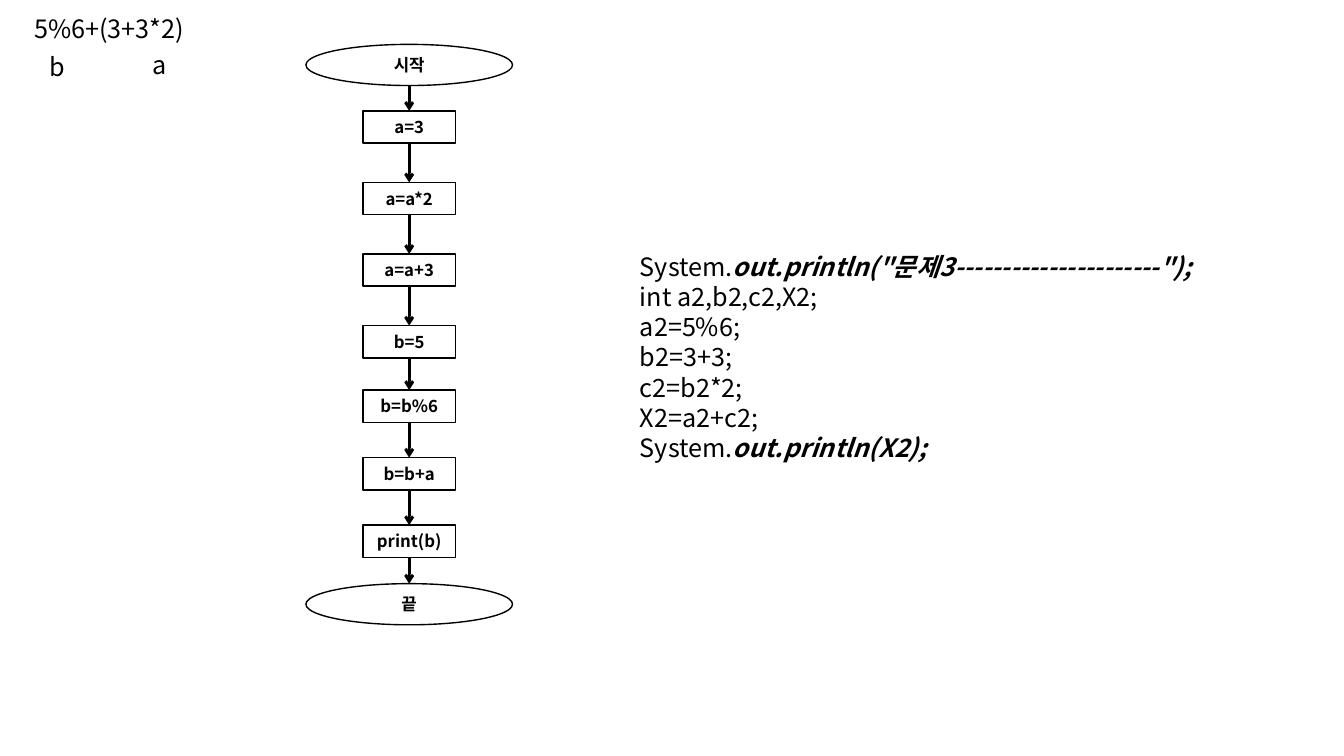
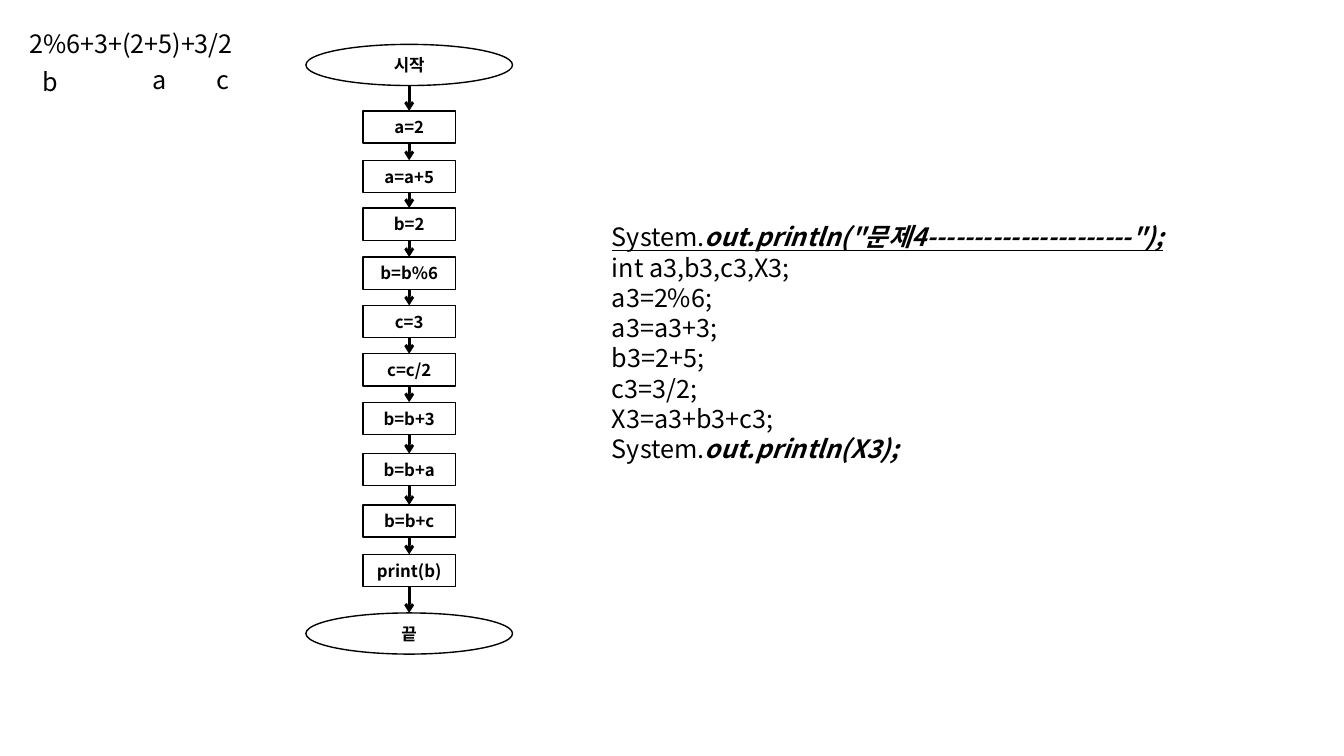
import pptx
import pptx.dml.color
import pptx.enum.shapes
import pptx.enum.text
import pptx.oxml.ns
import pptx.util
import lxml.etree

Pt = pptx.util.Pt
Kind = pptx.enum.shapes.MSO_SHAPE
Align = pptx.enum.text.PP_ALIGN

COLORS = {"ink": "000000", "paper": "FFFFFF"}
FONT = "Noto Sans CJK KR"


def tint(name):
    return pptx.dml.color.RGBColor.from_string(COLORS[name])


def child(parent, tag, **attrs):
    return lxml.etree.SubElement(parent, pptx.oxml.ns.qn(tag), **attrs)


def write(par, text, size=18, bold=False, slant=False, under=False):
    """Add one run of text with its format."""
    run = par.add_run()
    run.text = text
    font = run.font
    font.size, font.name = Pt(size), FONT
    font.bold, font.italic, font.underline = bold, slant, under
    font.color.rgb = tint("ink")
    child(font._element, "a:ea", typeface=FONT)


class Deck:
    MID = 292.3            # centre line of the flow chart
    TOP = 31.7             # top of the start oval
    OVAL = (147.6, 29.4)
    STEP = (66.2, 23)
    LINE = 21.6            # line pitch of 18 pt text

    def __init__(self):
        self.prs = pptx.Presentation()
        self.prs.slide_width, self.prs.slide_height = Pt(960), Pt(540)

    def page(self):
        self.slide = self.prs.slides.add_slide(self.prs.slide_layouts[6])
        fill = self.slide.background.fill
        fill.solid()
        fill.fore_color.rgb = tint("paper")

    def frame(self, left, top, wide, high):
        box = self.slide.shapes.add_textbox(Pt(left), Pt(top), Pt(wide), Pt(high))
        frame = box.text_frame
        frame.word_wrap = True
        frame.auto_size = pptx.enum.text.MSO_AUTO_SIZE.SHAPE_TO_FIT_TEXT
        return frame

    def label(self, text, left, top, wide):
        par = self.frame(left, top, wide, 28.8).paragraphs[0]
        par.line_spacing = Pt(self.LINE)
        write(par, text)

    def code(self, lines, left, top, wide, under=False):
        """Java lines; what follows "System." is bold and slanted."""
        frame = self.frame(left, top, wide, len(lines) * self.LINE + 7.2)
        for i, line in enumerate(lines):
            par = frame.add_paragraph() if i else frame.paragraphs[0]
            par.line_spacing = Pt(self.LINE)
            mark = under and i == 0
            head, dot, tail = line.partition("System.")
            write(par, head + dot, under=mark)
            if tail:
                write(par, tail, bold=True, slant=True, under=mark)

    def node(self, text, kind, top, size):
        wide, high = size
        shape = self.slide.shapes.add_shape(
            kind, Pt(self.MID - wide / 2), Pt(top), Pt(wide), Pt(high))
        shape.shadow.inherit = False
        shape.fill.background()
        shape.line.color.rgb = tint("ink")
        shape.line.width = Pt(1)
        frame = shape.text_frame
        frame.vertical_anchor = pptx.enum.text.MSO_ANCHOR.MIDDLE
        par = frame.paragraphs[0]
        par.alignment = Align.CENTER
        write(par, text, size=12, bold=True)

    def arrow(self, start, end):
        link = self.slide.shapes.add_connector(
            pptx.enum.shapes.MSO_CONNECTOR.STRAIGHT,
            Pt(self.MID), Pt(start), Pt(self.MID), Pt(end))
        link.line.color.rgb = tint("ink")
        link.line.width = Pt(2)
        child(link.line._get_or_add_ln(), "a:tailEnd", type="arrow")
        child(link._element.spPr, "a:effectLst")

    def flow(self, steps, end):
        """Start oval, steps as (text, top), end oval, and arrows between."""
        oval, step = (Kind.OVAL, self.OVAL), (Kind.FLOWCHART_PROCESS, self.STEP)
        nodes = [("시작", self.TOP, oval)]
        nodes += [(text, top, step) for text, top in steps]
        nodes.append(("끝", end, oval))
        for text, top, (kind, size) in nodes:
            self.node(text, kind, top, size)
        for (_, top, (_, size)), (_, goal, _) in zip(nodes, nodes[1:]):
            self.arrow(top + size[1], goal)


def main():
    deck = Deck()

    # Problem 3
    deck.page()
    deck.code(['System.out.println("문제3----------------------");',
               "int a2,b2,c2,X2;", "a2=5%6;", "b2=3+3;", "c2=b2*2;",
               "X2=a2+c2;", "System.out.println(X2);"], 450, 175.7, 435.6)
    deck.flow([("a=3", 79.2), ("a=a*2", 130.3), ("a=a+3", 181.4),
               ("b=5", 232.6), ("b=b%6", 278.6), ("b=b+a", 326.9),
               ("print(b)", 375.1)], end=416.9)
    deck.label("5%6+(3+3*2)", 17.3, 5.8, 147.6)
    deck.label("a", 101.5, 31.7, 35.3)
    deck.label("b", 28.1, 33.1, 25)

    # Problem 4
    deck.page()
    deck.code(['System.out.println("문제4----------------------");',
               "int a3,b3,c3,X3;", "a3=2%6;", "a3=a3+3;", "b3=2+5;",
               "c3=3/2;", "X3=a3+b3+c3;", "System.out.println(X3);"],
              430, 154.8, 430.6, under=True)
    deck.flow([("a=2", 79.2), ("a=a+5", 114.5), ("b=2", 148.6),
               ("b=b%6", 183.6), ("c=3", 218.2), ("c=c/2", 252.7),
               ("b=b+3", 287.3), ("b=b+a", 324), ("b=b+c", 360.7),
               ("print(b)", 396)], end=437.8)
    deck.label("2%6+3+(2+5)+3/2", 13.7, 16.6, 182.9)
    deck.label("a", 102.2, 42.5, 35.3)
    deck.label("b", 23, 43.9, 25)
    deck.label("c", 147.6, 42.5, 30.2)

    deck.prs.save("out.pptx")


if __name__ == "__main__":
    main()
